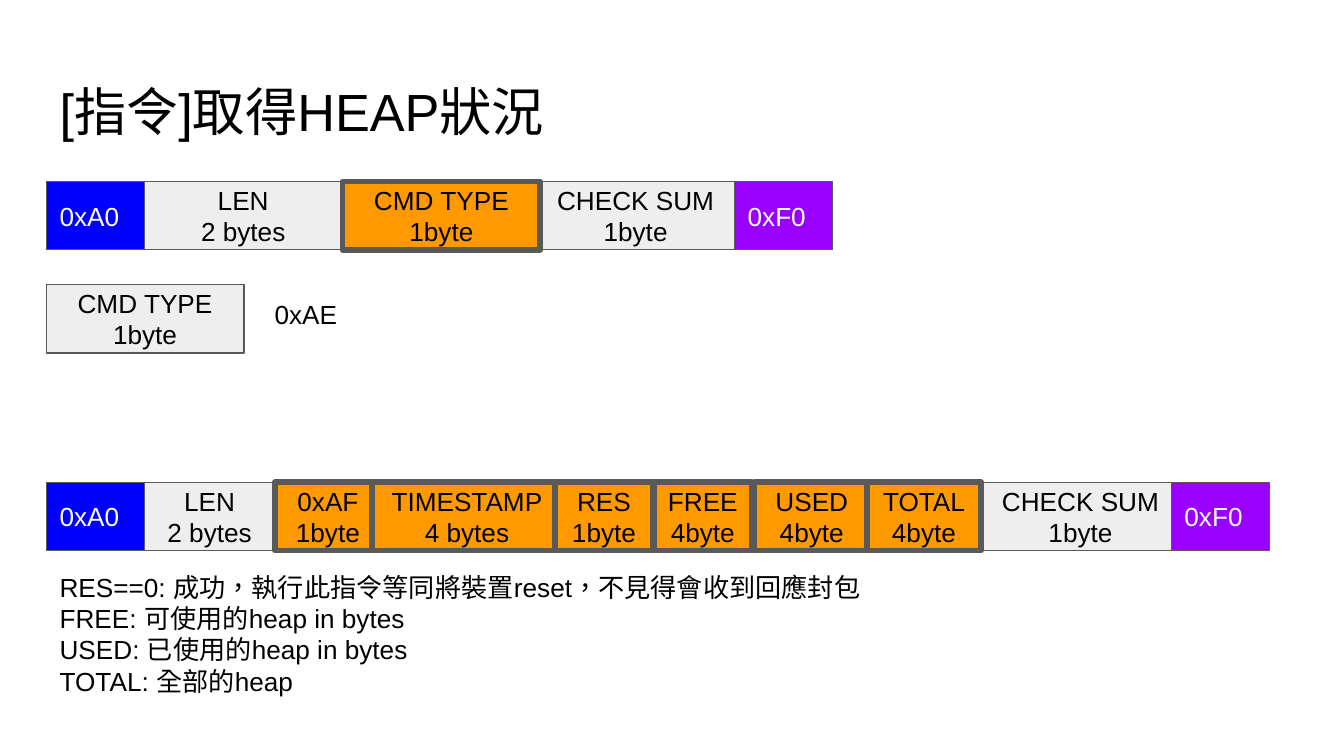
from pptx import Presentation
from pptx.dml.color import RGBColor
from pptx.enum.lang import MSO_LANGUAGE_ID
from pptx.enum.shapes import MSO_SHAPE
from pptx.enum.text import MSO_ANCHOR, PP_ALIGN
from pptx.util import Inches, Pt

SLIDE_WIDTH = Inches(10)
SLIDE_HEIGHT = SLIDE_WIDTH * 9 // 16
COLUMN = SLIDE_WIDTH / 100
ROW = SLIDE_HEIGHT / 100
MARGIN = 3.45
FIELD_ROWS = 9.05

STYLES = {
    "head": ("0000FF", "FFFFFF", 0.75, PP_ALIGN.LEFT),
    "plain": ("EEEEEE", "000000", 0.75, PP_ALIGN.CENTER),
    "tail": ("9900FF", "FFFFFF", 0.75, PP_ALIGN.LEFT),
    "payload": ("FF9900", "000000", 3, PP_ALIGN.CENTER),
}
REQUEST = [
    ("head", "0xA0", 0, 7.3),
    ("plain", "LEN\n2 bytes", 7.3, 14.7),
    ("payload", "CMD TYPE\n1byte", 22.05, 14.7),
    ("plain", "CHECK SUM\n1byte", 36.5, 14.7),
    ("tail", "0xF0", 51.2, 7.3),
]
COMMAND = [("plain", "CMD TYPE\n1byte", 0, 14.7)]
RESPONSE = [
    ("head", "0xA0", 0, 7.3),
    ("plain", "LEN\n2 bytes", 7.3, 9.7),
    ("payload", "0xAF\n1byte", 17, 7.9),
    ("payload", "TIMESTAMP\n4 bytes", 24.25, 14.1),
    ("payload", "RES\n1byte", 37.85, 7.3),
    ("payload", "FREE\n4byte", 45.2, 7.3),
    ("payload", "USED\n4byte", 52.7, 8.5),
    ("payload", "TOTAL\n4byte", 61.05, 8.5),
    ("plain", "CHECK SUM\n1byte", 69.6, 14.7),
    ("tail", "0xF0", 83.7, 7.3),
]
NOTES = [
    "RES==0: 成功，執行此指令等同將裝置reset，不見得會收到回應封包",
    "FREE: 可使用的heap in bytes",
    "USED: 已使用的heap in bytes",
    "TOTAL: 全部的heap",
]


def color(hex_code):
    """Turn a hex string into a colour."""
    return RGBColor.from_string(hex_code)


def grid_box(left, top, width, height):
    """Convert columns and rows into slide lengths."""
    return (round(left * COLUMN), round(top * ROW),
            round(width * COLUMN), round(height * ROW))


def write(frame, lines, size=14, ink="000000", align=PP_ALIGN.LEFT):
    """Fill a text frame with one paragraph per line."""
    frame.word_wrap = True
    frame.margin_left = frame.margin_right = Inches(0.1)
    frame.margin_top = frame.margin_bottom = Inches(0.1)
    for index, line in enumerate(lines):
        paragraph = frame.add_paragraph() if index else frame.paragraphs[0]
        paragraph.text = line
        paragraph.alignment = align
        paragraph.font.size = Pt(size)
        paragraph.font.name = "Arial"
        paragraph.font.color.rgb = color(ink)
        for run in paragraph.runs:
            run.font.language_id = MSO_LANGUAGE_ID.TRADITIONAL_CHINESE


def add_text(slide, box, lines, size=14):
    """Place a text box on the grid."""
    write(slide.shapes.add_textbox(*grid_box(*box)).text_frame, lines, size)


def add_packet(slide, left, top, fields):
    """Draw a row of packet fields, with the payload in front."""
    for style, label, start, width in sorted(fields, key=lambda field: field[0] == "payload"):
        fill, ink, line_width, align = STYLES[style]
        field = slide.shapes.add_shape(
            MSO_SHAPE.RECTANGLE, *grid_box(left + start, top, width, FIELD_ROWS))
        field.shadow.inherit = False
        field.fill.solid()
        field.fill.fore_color.rgb = color(fill)
        field.line.color.rgb = color("595959")
        field.line.width = Pt(line_width)
        field.text_frame.vertical_anchor = MSO_ANCHOR.MIDDLE
        write(field.text_frame, [label], ink=ink, align=align)


def main():
    """Build the slide and save it."""
    deck = Presentation()
    deck.slide_width, deck.slide_height = SLIDE_WIDTH, SLIDE_HEIGHT
    slide = deck.slides.add_slide(deck.slide_layouts[6])
    add_text(slide, (MARGIN, 8.7, 93.2, 11.2), ["[指令]取得HEAP狀況"], 28)
    add_packet(slide, MARGIN, 24, REQUEST)
    add_packet(slide, MARGIN, 37.65, COMMAND)
    add_text(slide, (19.45, 37.7, 7.9, 8), ["0xAE"])
    add_packet(slide, MARGIN, 63.8, RESPONSE)
    add_text(slide, (MARGIN, 73.75, 81.9, 22.2), NOTES)
    deck.save("out.pptx")


if __name__ == "__main__":
    main()
